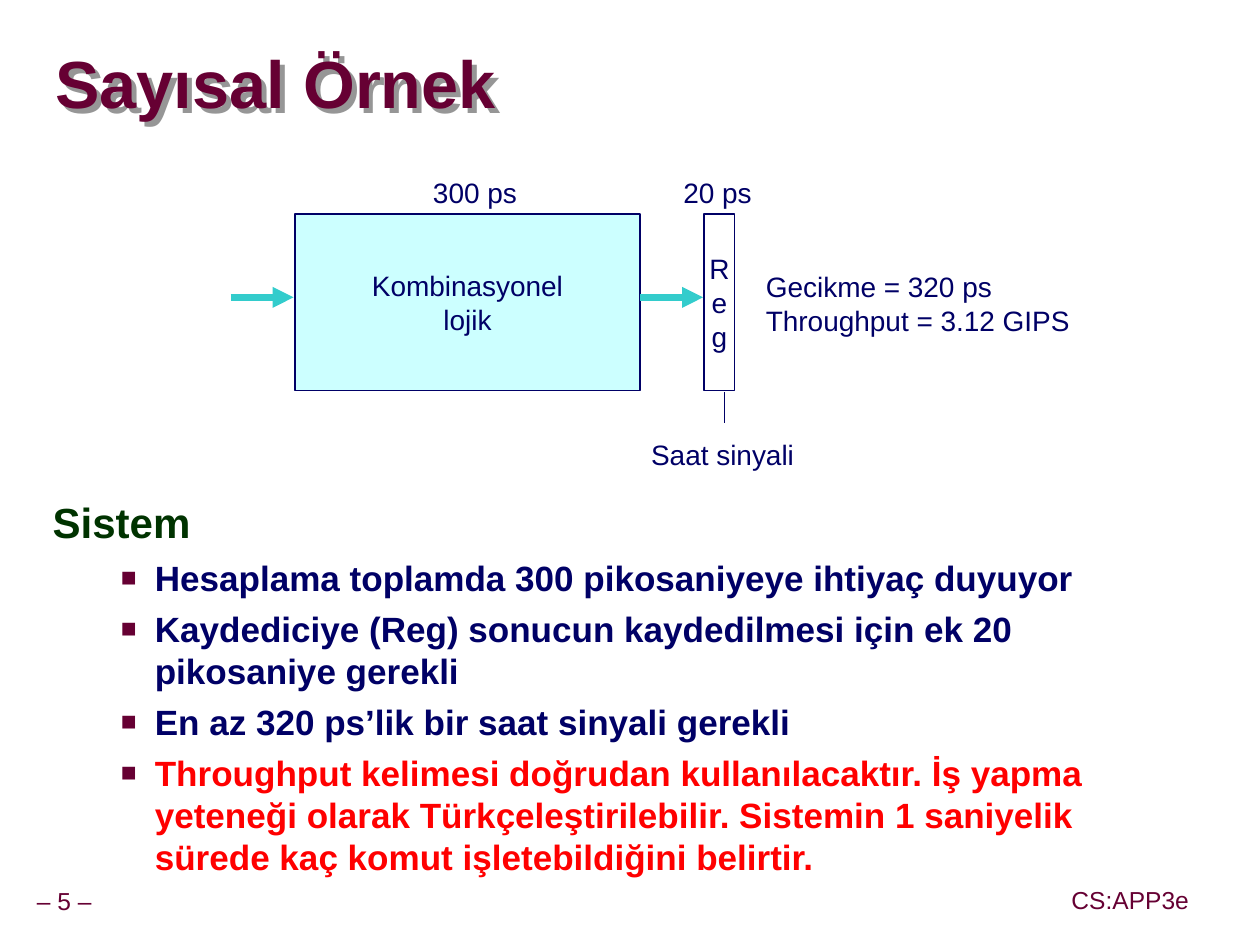
from pptx import Presentation
from pptx.dml.color import RGBColor
from pptx.enum.shapes import MSO_CONNECTOR as Link, MSO_SHAPE as Kind
from pptx.enum.text import MSO_ANCHOR as Anchor, PP_ALIGN as Align
from pptx.oxml import parse_xml
from pptx.oxml.ns import nsdecls
from pptx.util import Inches, Pt

WIDE, HIGH = Inches(9.99), Inches(7.49)
COLS, ROWS = 100, 75
NAVY, WINE, GREEN, RED = "000066", "660033", "003300", "FF0000"
TEAL, PALE, WHITE, GRAY = "33CCCC", "CCFFFF", "FFFFFF", "969696"

POINTS = [
    ("Hesaplama toplamda 300 pikosaniyeye ihtiyaç duyuyor", NAVY),
    ("Kaydediciye (Reg) sonucun kaydedilmesi için ek 20 pikosaniye gerekli", NAVY),
    ("En az 320 ps’lik bir saat sinyali gerekli", NAVY),
    ("Throughput kelimesi doğrudan kullanılacaktır. İş yapma yeteneği olarak "
     "Türkçeleştirilebilir. Sistemin 1 saniyelik sürede kaç komut "
     "işletebildiğini belirtir.", RED),
]


def grid(col, row):
    return int(WIDE * col / COLS), int(HIGH * row / ROWS)


def area(col, row, wide, high):
    return *grid(col, row), *grid(wide, high)


def color(code):
    return RGBColor.from_string(code)


def style(para, size, code, bold=False):
    for run in para.runs:
        font = run.font
        font.name, font.size, font.bold = "Arial", Pt(size), bold
        font.color.rgb = color(code)


def write(shape, text, size=16, code=NAVY, align=Align.CENTER, anchor=Anchor.TOP):
    frame = shape.text_frame
    frame.text = text
    frame.word_wrap = False
    frame.vertical_anchor = anchor
    for para in frame.paragraphs:
        para.alignment = align
        style(para, size, code)


def label(slide, text, place, **look):
    write(slide.shapes.add_textbox(*area(*place)), text, **look)


def block(slide, text, place, fill):
    box = slide.shapes.add_shape(Kind.RECTANGLE, *area(*place))
    box.shadow.inherit = False
    box.fill.solid()
    box.fill.fore_color.rgb = color(fill)
    box.line.color.rgb = color(NAVY)
    box.line.width = Pt(1)
    write(box, text, anchor=Anchor.MIDDLE)


def wire(slide, start, end, code, width, head=False):
    line = slide.shapes.add_connector(Link.STRAIGHT, *grid(*start), *grid(*end))
    line.line.color.rgb = color(code)
    line.line.width = Pt(width)
    if head:
        line.line._get_or_add_ln().append(
            parse_xml(f'<a:tailEnd {nsdecls("a")} type="triangle"/>'))
    line._element.spPr.append(parse_xml(f'<a:effectLst {nsdecls("a")}/>'))


def heading(slide, text):
    title = slide.shapes.title
    title.left, title.top, title.width, title.height = area(4.4, 2.7, 95.3, 8.5)
    frame = title.text_frame
    frame.margin_left = frame.margin_right = frame.margin_top = frame.margin_bottom = 0
    frame.text = text
    frame.vertical_anchor = Anchor.MIDDLE
    para = frame.paragraphs[0]
    para.alignment, para.line_spacing = Align.LEFT, 0.87
    style(para, 38, WINE, True)
    # An unfilled shape casts its shadow from the letters
    title.fill.background()
    title._element.spPr.append(parse_xml(
        f'<a:effectLst {nsdecls("a")}><a:outerShdw dist="50800" dir="2700000">'
        f'<a:srgbClr val="{GRAY}"/></a:outerShdw></a:effectLst>'))


def bullet(para):
    props = para._p.get_or_add_pPr()
    props.set("marL", str(Inches(0.81)))
    props.set("indent", str(Inches(-0.27)))
    for part in (f'buClr {nsdecls("a")}><a:srgbClr val="{WINE}"/></a:buClr>',
                 f'buSzPct {nsdecls("a")} val="75000"/>',
                 f'buFont {nsdecls("a")} typeface="Arial"/>',
                 f'buChar {nsdecls("a")} char="■"/>'):
        props.append(parse_xml("<a:" + part))


def body(slide, head, points):
    frame = slide.shapes.add_textbox(*area(3.2, 39.2, 90.8, 31.2)).text_frame
    frame.word_wrap = True
    first = frame.paragraphs[0]
    first.text, first.line_spacing = head, 0.95
    style(first, 24, GREEN, True)
    for text, code in points:
        para = frame.add_paragraph()
        para.text, para.level = text, 1
        bullet(para)
        para.line_spacing, para.space_before = 1.0, Pt(5)
        style(para, 20, code, True)


def diagram(slide):
    # Stages
    block(slide, "Kombinasyonel\nlojik", (23.4, 17, 27.4, 14), PALE)
    block(slide, "R\ne\ng", (55.9, 17, 2.4, 14), WHITE)

    # Signals
    for col in (18.3, 50.8):
        wire(slide, (col, 23.6), (col + 5, 23.6), TEAL, 4, True)
    wire(slide, (57.5, 31.1), (57.5, 33.6), NAVY, 1)

    # Labels
    label(slide, "300 ps", (33.2, 13.4, 9, 3.6))
    label(slide, "20 ps", (53.2, 13.4, 7.5, 3.6))
    label(slide, "Saat sinyali", (50.6, 34.2, 13.5, 3.6))
    label(slide, "Gecikme = 320 ps\nThroughput = 3.12 GIPS",
          (59.8, 20.9, 27, 6.4), align=Align.LEFT)


def main():
    deck = Presentation()
    deck.slide_width, deck.slide_height = WIDE, HIGH
    slide = deck.slides.add_slide(deck.slide_layouts[5])
    heading(slide, "Sayısal Örnek")
    diagram(slide)
    body(slide, "Sistem", POINTS)

    # Footer
    foot = dict(size=14, code=WINE, anchor=Anchor.MIDDLE)
    label(slide, "– 5 –", (1.6, 69.9, 7, 3.2), **foot)
    label(slide, "CS:APP3e", (83.7, 69.8, 12, 3.2), **foot)
    deck.save("out.pptx")


if __name__ == "__main__":
    main()
